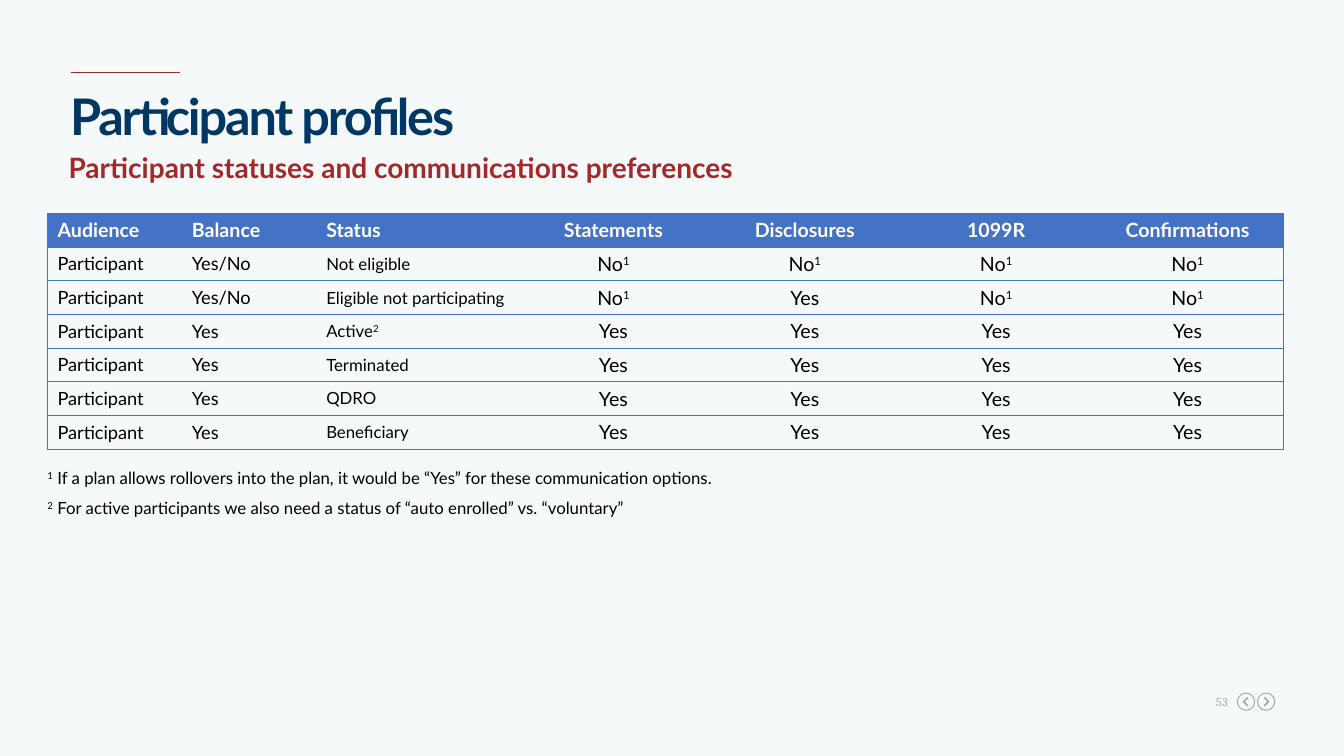
from lxml.etree import SubElement
from pptx import Presentation
from pptx.dml.color import RGBColor
from pptx.enum.shapes import MSO_CONNECTOR, MSO_SHAPE
from pptx.enum.text import MSO_ANCHOR, MSO_AUTO_SIZE, PP_ALIGN
from pptx.oxml.ns import qn
from pptx.util import Pt

NAVY, RED, BLUE, GREY = "003764", "A32829", "4472C4", "AAAAAA"
BLACK, WHITE, PALE = "000000", "FFFFFF", "F5F9FA"

HEADS = ["Audience", "Balance", "Status", "Statements", "Disclosures", "1099R", "Confirmations"]
ROWS = [
    ["Participant", "Yes/No", "Not eligible"] + ["No^1"] * 4,
    ["Participant", "Yes/No", "Eligible not participating", "No^1", "Yes", "No^1", "No^1"],
] + [
    ["Participant", "Yes", status] + ["Yes"] * 4
    for status in ("Active^2", "Terminated", "QDRO", "Beneficiary")
]
WIDTHS = [96, 96, 144] + [136.7] * 4
SIZES = [13, 13, 12] + [14] * 4
NOTES = [
    "^1^ If a plan allows rollovers into the plan, it would be “Yes” for these communication options.",
    "^2^ For active participants we also need a status of “auto enrolled” vs. “voluntary”",
]


def tint(code):
    return RGBColor.from_string(code)


class Deck:
    def __init__(self, font):
        self.font = font
        self.file = Presentation()
        self.file.slide_width, self.file.slide_height = Pt(960), Pt(540)
        self.slide = self.file.slides.add_slide(self.file.slide_layouts[5])
        self.shapes = self.slide.shapes
        fill = self.slide.background.fill
        fill.solid()
        fill.fore_color.rgb = tint(PALE)

    def words(self, para, text, size, color, bold=False, font=None, track=0):
        """Fill a paragraph; every second part between ^ marks is superscript."""
        for i, part in enumerate(text.split("^")):
            if not part:
                continue
            run = para.add_run()
            run.text = part
            run.font.name = font or self.font
            run.font.size, run.font.bold = Pt(size), bold
            run.font.color.rgb = tint(color)
            props = run._r.get_or_add_rPr()
            if i % 2:
                props.set("baseline", "30000")
            if track:
                props.set("spc", str(round(track * 100)))

    def lines(self, box, texts, size, color, align=PP_ALIGN.LEFT, gap=1, **style):
        frame = box.text_frame
        frame.word_wrap = True
        frame.auto_size = MSO_AUTO_SIZE.NONE
        frame.vertical_anchor = MSO_ANCHOR.TOP
        frame.margin_left = frame.margin_right = 0
        frame.margin_top = frame.margin_bottom = 0
        for i, text in enumerate(texts):
            para = frame.add_paragraph() if i else frame.paragraphs[0]
            para.alignment, para.line_spacing = align, gap
            self.words(para, text, size, color, **style)

    def title(self, area, text, size, color, **style):
        box = self.shapes.title
        box.left, box.top, box.width, box.height = map(Pt, area)
        self.lines(box, [text], size, color, **style)

    def label(self, area, texts, size, color, **style):
        self.lines(self.shapes.add_textbox(*map(Pt, area)), texts, size, color, **style)

    def rule(self, x, y, width, color):
        line = self.shapes.add_connector(MSO_CONNECTOR.STRAIGHT, Pt(x), Pt(y), Pt(x + width), Pt(y))
        line.line.color.rgb, line.line.width = tint(color), Pt(0.75)
        SubElement(line._element.spPr, qn("a:effectLst"))

    def button(self, x, y, size, way):
        """Draw a ringed chevron; way is 1 for right and -1 for left."""
        ring = self.shapes.add_shape(MSO_SHAPE.OVAL, Pt(x), Pt(y), Pt(size), Pt(size))
        mid_x, mid_y = x + size / 2, y + size / 2
        pen = self.shapes.build_freeform(Pt(mid_x - way * 1.3), Pt(mid_y - 3))
        pen.add_line_segments(
            [(Pt(mid_x + way * 1.7), Pt(mid_y)), (Pt(mid_x - way * 1.3), Pt(mid_y + 3))], close=False)
        for part, width in ((ring, 0.75), (pen.convert_to_shape(), 1.2)):
            part.shadow.inherit = False
            part.fill.background()
            part.line.color.rgb, part.line.width = tint(GREY), Pt(width)

    def edge(self, cell, sides, color):
        """Draw the named cell borders and hide the others."""
        props = cell._tc.get_or_add_tcPr()
        for side in "LRTB":
            line = SubElement(props, qn("a:ln" + side), w=str(Pt(0.5)))
            if side in sides:
                fill = SubElement(line, qn("a:solidFill"))
                SubElement(fill, qn("a:srgbClr"), val=color)
            else:
                SubElement(line, qn("a:noFill"))

    def table(self, x, y, high, heads, rows):
        data = [heads] + rows
        grid = self.shapes.add_table(
            len(data), len(heads), Pt(x), Pt(y), Pt(sum(WIDTHS)), Pt(high * len(data))).table
        grid.horz_banding = False
        for col, width in zip(grid.columns, WIDTHS):
            col.width = Pt(width)
        for r, texts in enumerate(data):
            grid.rows[r].height = Pt(high)
            for c, text in enumerate(texts):
                cell = grid.cell(r, c)
                cell.vertical_anchor = MSO_ANCHOR.MIDDLE
                sides = "TB" + "L" * (c == 0) + "R" * (c == len(heads) - 1)
                self.edge(cell, sides, BLUE)
                para = cell.text_frame.paragraphs[0]
                para.alignment = PP_ALIGN.CENTER if c > 2 else PP_ALIGN.LEFT
                if r == 0:
                    cell.fill.solid()
                    cell.fill.fore_color.rgb = tint(BLUE)
                    self.words(para, text, 14, WHITE, bold=True)
                else:
                    cell.fill.background()
                    self.words(para, text, SIZES[c], BLACK)


def main():
    deck = Deck("Lato")
    deck.label((859, 496, 18, 11), ["53"], 8.7, GREY, align=PP_ALIGN.RIGHT, font="Cambria", track=0.3)
    for x, way in ((883.8, -1), (898.2, 1)):
        deck.button(x, 495, 12.4, way)
    deck.rule(50.4, 51.8, 78.5, RED)
    deck.title((50, 60.5, 871, 41), "Participant profiles", 36, NAVY, bold=True, track=-1.5)
    deck.label((49, 110.2, 872, 26.6), ["Participant statuses and communications preferences"],
               20, RED, bold=True, gap=0.9)
    deck.table(33.9, 152.4, 24.05, HEADS, ROWS)
    deck.label((33.9, 326.9, 888, 41), NOTES, 12, BLACK, gap=1.5)
    deck.file.save("out.pptx")


if __name__ == "__main__":
    main()
